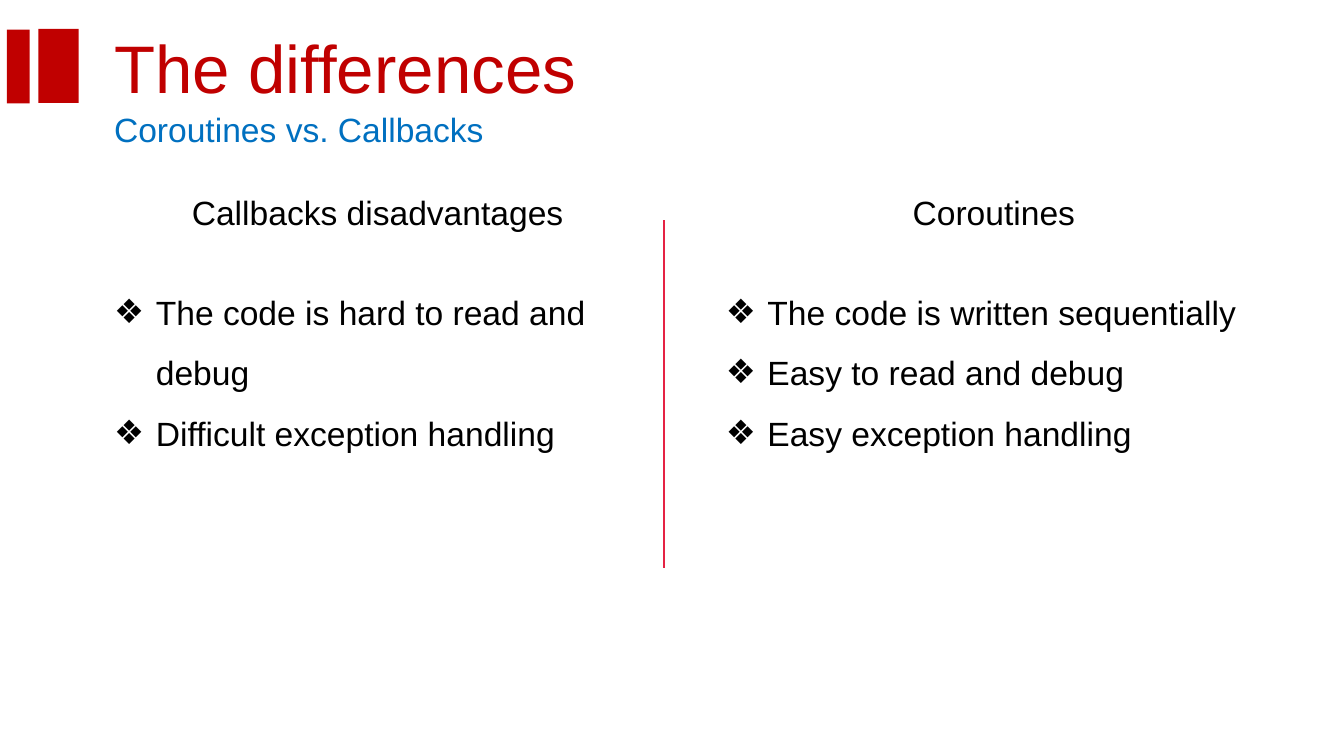
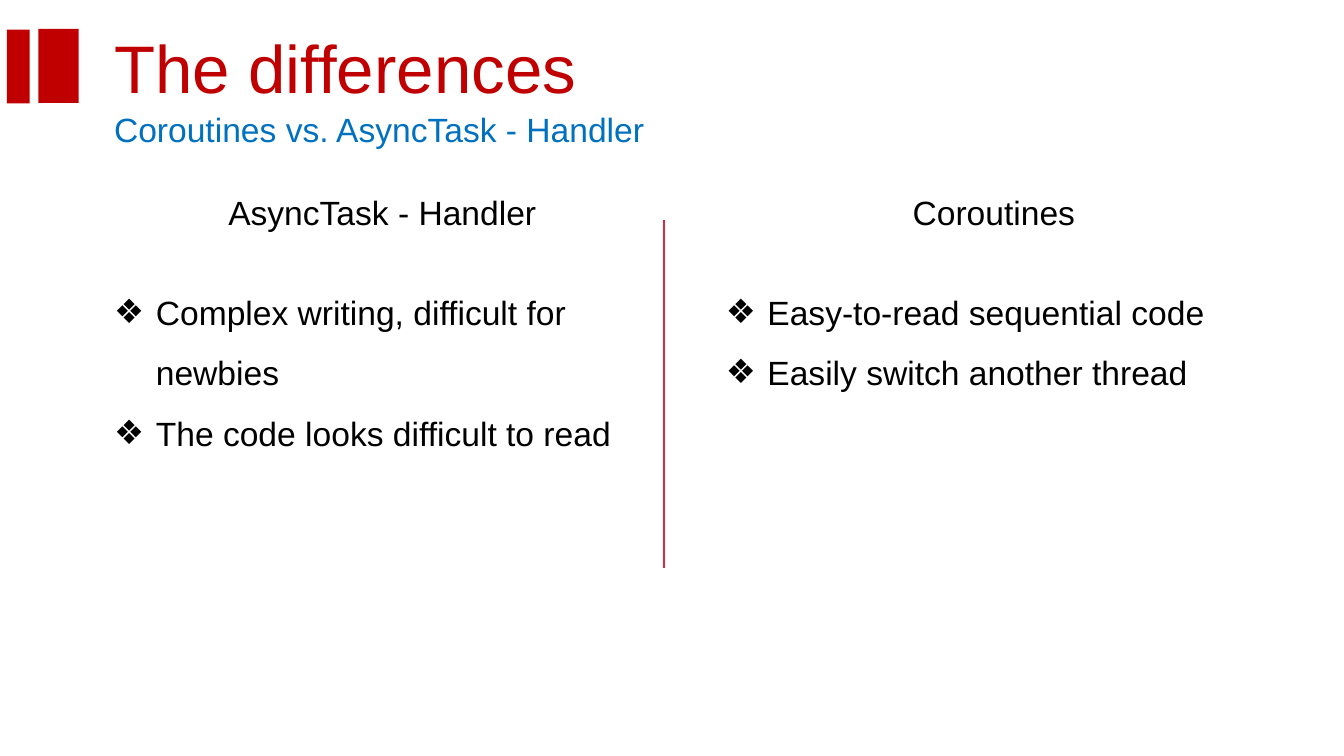
import pptx
import pptx.util
import pptx.dml.color
import pptx.enum.shapes
import pptx.enum.text
import pptx.oxml.ns
from lxml import etree

Inches = pptx.util.Inches
Pt = pptx.util.Pt
Align = pptx.enum.text.PP_ALIGN
Anchor = pptx.enum.text.MSO_ANCHOR
AutoSize = pptx.enum.text.MSO_AUTO_SIZE

COLORS = {"red": "C00000", "blue": "0070C0", "text": "000000", "divider": "E52344"}
FONT = "Arial"
SLIDE_WIDTH = 10
LEFT = 0.75
COLUMN_WIDTH = 4.19
COLUMN_TOP = 1.97
BULLET_INDENT = 0.31

# Heading and list boxes: left, top, width
HEADINGS = [(1.11, 1.38, 3.47), (6.06, 1.38, 2.67)]
LISTS = [(LEFT, COLUMN_TOP, COLUMN_WIDTH), (5.3, COLUMN_TOP, COLUMN_WIDTH)]

COMPARISONS = [
    {
        "title_width": 6.89,
        "subtitle": ("Coroutines vs. Callbacks", 3.15),
        "columns": [
            ("Callbacks disadvantages ", 1.46,
             ["The code is hard to read and debug", "Difficult exception handling"]),
            ("Coroutines", 1.46,
             ["The code is written sequentially", "Easy to read and debug",
              "Easy exception handling"]),
        ],
    },
    {
        "title_width": 5.71,
        "subtitle": ("Coroutines vs. AsyncTask - Handler", 4.68),
        "columns": [
            ("AsyncTask - Handler", 1.41,
             ["Complex writing, difficult for newbies",
              "The code looks difficult to read"]),
            ("Coroutines", 1.01,
             ["Easy-to-read sequential code", "Easily switch another thread"]),
        ],
    },
]


def rgb(name):
    return pptx.dml.color.RGBColor.from_string(COLORS[name])


def place(box, left, top, width, height):
    box.left, box.top = Inches(left), Inches(top)
    box.width, box.height = Inches(width), Inches(height)


def write(box, lines, size=18, color="text", align=Align.LEFT, spacing=1.0,
          anchor=Anchor.TOP, auto_size=AutoSize.SHAPE_TO_FIT_TEXT):
    frame = box.text_frame
    frame.word_wrap = True
    frame.auto_size = auto_size
    frame.vertical_anchor = anchor
    for index, line in enumerate(lines):
        paragraph = frame.add_paragraph() if index else frame.paragraphs[0]
        paragraph.alignment = align
        paragraph.line_spacing = spacing
        paragraph.space_before = paragraph.space_after = Pt(0)
        run = paragraph.add_run()
        run.text = line
        run.font.name = FONT
        run.font.size = Pt(size)
        run.font.bold = False
        run.font.color.rgb = rgb(color)


def add_bullets(box):
    qn = pptx.oxml.ns.qn
    for paragraph in box.text_frame.paragraphs:
        properties = paragraph._p.get_or_add_pPr()
        properties.set("marL", str(Inches(BULLET_INDENT)))
        properties.set("indent", str(-Inches(BULLET_INDENT)))
        bullet_color = etree.SubElement(properties, qn("a:buClr"))
        etree.SubElement(bullet_color, qn("a:srgbClr"), val=COLORS["text"])
        etree.SubElement(properties, qn("a:buFont"), typeface=FONT)
        etree.SubElement(properties, qn("a:buChar"), char="❖")


def add_title_bar(slide, left, top, thickness):
    bar = slide.shapes.add_shape(
        pptx.enum.shapes.MSO_SHAPE.RECTANGLE,
        Inches(left), Inches(top), Inches(0.55), Inches(thickness))
    bar.rotation = 90
    bar.shadow.inherit = False
    bar.fill.solid()
    bar.fill.fore_color.rgb = rgb("red")
    bar.line.fill.background()


def add_divider(slide):
    divider = slide.shapes.add_connector(
        pptx.enum.shapes.MSO_CONNECTOR.STRAIGHT,
        Inches(4.94), Inches(1.64), Inches(4.94), Inches(4.23))
    divider.line.color.rgb = rgb("divider")
    divider.line.width = Pt(0.75)
    etree.SubElement(divider._element.spPr, pptx.oxml.ns.qn("a:effectLst"))


def add_header(slide, title_width, subtitle, subtitle_width):
    title = slide.shapes.title
    place(title, LEFT, 0.15, title_width, 0.69)
    write(title, ["The differences"], size=36, color="red",
          anchor=Anchor.MIDDLE, auto_size=AutoSize.NONE)
    subtitle_box = slide.shapes.add_textbox(
        Inches(LEFT), Inches(0.76), Inches(subtitle_width), Inches(0.4))
    write(subtitle_box, [subtitle], color="blue")
    add_title_bar(slide, 0.16, 0.34, 0.3)
    add_title_bar(slide, -0.14, 0.41, 0.17)


def add_column(slide, side, heading_text, list_height, points):
    # The comparison layout pairs heading and list as 1, 2 and 3, 4
    bodies = {body.placeholder_format.idx: body for body in slide.placeholders}
    heading, point_list = bodies[2 * side + 1], bodies[2 * side + 2]
    place(heading, *HEADINGS[side], 0.4)
    write(heading, [heading_text], align=Align.CENTER)
    place(point_list, *LISTS[side], list_height)
    write(point_list, points, spacing=1.5)
    add_bullets(point_list)


def add_comparison(deck, comparison):
    slide = deck.slides.add_slide(deck.slide_layouts.get_by_name("Comparison"))
    add_header(slide, comparison["title_width"], *comparison["subtitle"])
    for side, column in enumerate(comparison["columns"]):
        add_column(slide, side, *column)
    add_divider(slide)


def main():
    deck = pptx.Presentation()
    # Widescreen, 16 to 9
    deck.slide_width = Inches(SLIDE_WIDTH)
    deck.slide_height = Inches(SLIDE_WIDTH * 9 / 16)
    for comparison in COMPARISONS:
        add_comparison(deck, comparison)
    deck.save("out.pptx")


if __name__ == "__main__":
    main()
